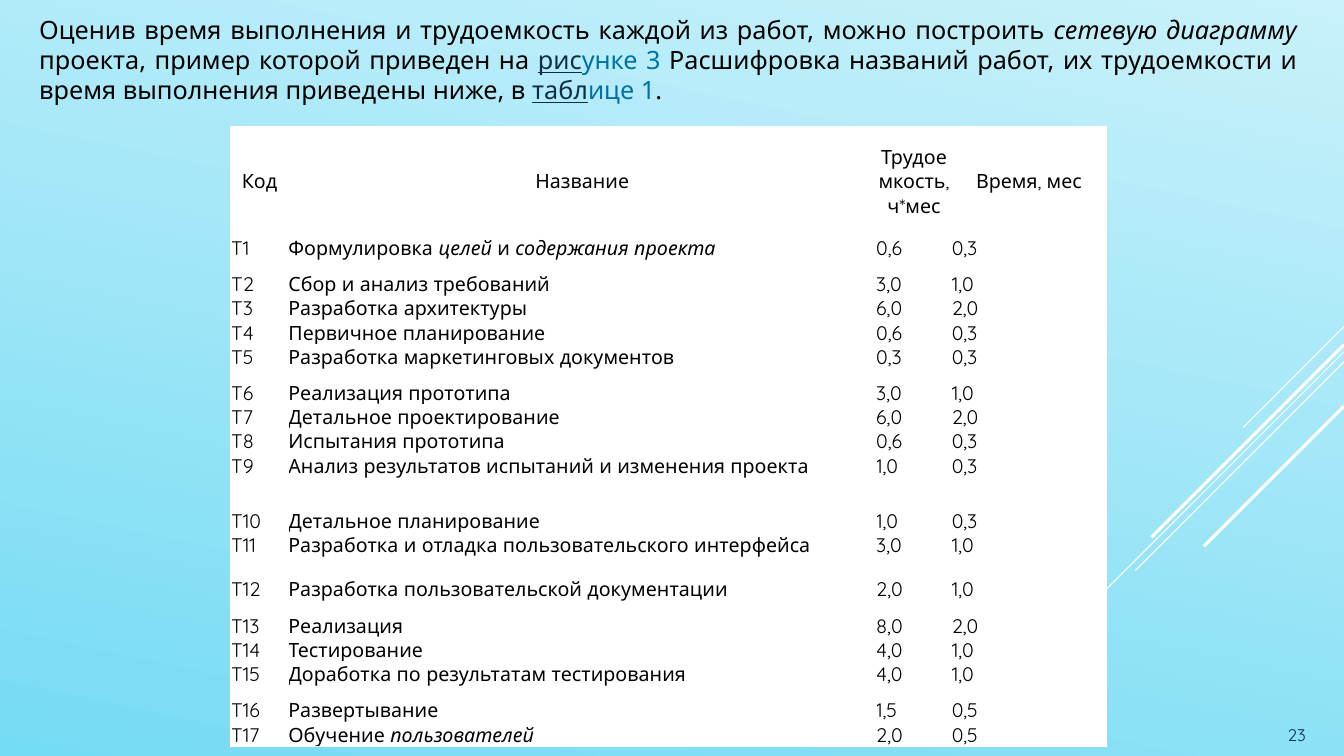
import pptx
import pptx.dml.color
import pptx.enum.shapes
import pptx.enum.text
import pptx.util
from lxml import etree
from pptx.util import Inches

RGBColor = pptx.dml.color.RGBColor
PP_ALIGN = pptx.enum.text.PP_ALIGN
MSO_ANCHOR = pptx.enum.text.MSO_ANCHOR

SKY_LIGHT = RGBColor(0xC8, 0xF1, 0xFB)
SKY_DEEP = RGBColor(0x76, 0xDB, 0xF4)
WHITE = RGBColor(0xFF, 0xFF, 0xFF)
BLACK = RGBColor(0x00, 0x00, 0x00)
NAVY = RGBColor(0x0A, 0x30, 0x4A)
LINK_DARK = RGBColor(0x0D, 0x2E, 0x46)
LINK_BLUE = RGBColor(0x00, 0x71, 0xA6)

TEXT_FONT = "Noto Sans"
TABLE_FONT = "Quicksand"
SLIDE_WIDTH = 13.33

DIAGONALS = [(3.24, 1.0, 0.75), (3.49, 3.26, 0.75), (3.59, 2.07, 0.75),
             (3.42, 1.91, 2.25), (4.03, 1.39, 2.25)]

INTRO = [
    ("Оценив время выполнения и трудоемкость каждой из работ, можно построить ", BLACK, ""),
    ("сетевую диаграмму", BLACK, "italic"),
    (" проекта, пример которой приведен на ", BLACK, ""),
    ("рис", LINK_DARK, "underline"),
    ("унке 3 ", LINK_BLUE, ""),
    ("Расшифровка названий работ, их трудоемкости и время выполнения приведены ниже, в ",
     BLACK, ""),
    ("табл", LINK_DARK, "underline"),
    ("ице 1", LINK_BLUE, ""),
    (".", BLACK, ""),
]

HEADER = ("Код", "Название", "Трудоемкость, ч*мес", "Время, мес")
WORKS = [
    ("Формулировка _целей_ и _содержания проекта_", "0,6", "0,3"),
    ("Сбор и анализ требований", "3,0", "1,0"),
    ("Разработка архитектуры", "6,0", "2,0"),
    ("Первичное планирование", "0,6", "0,3"),
    ("Разработка маркетинговых документов", "0,3", "0,3"),
    ("Реализация прототипа", "3,0", "1,0"),
    ("Детальное проектирование", "6,0", "2,0"),
    ("Испытания прототипа", "0,6", "0,3"),
    ("Анализ результатов испытаний и изменения проекта", "1,0", "0,3"),
    ("Детальное планирование", "1,0", "0,3"),
    ("Разработка и отладка пользовательского интерфейса", "3,0", "1,0"),
    ("Разработка пользовательской документации", "2,0", "1,0"),
    ("Реализация", "8,0", "2,0"),
    ("Тестирование", "4,0", "1,0"),
    ("Доработка по результатам тестирования", "4,0", "1,0"),
    ("Развертывание", "1,5", "0,5"),
    ("Обучение _пользователей_", "2,0", "0,5"),
]
COLUMN_WIDTHS = [0.57, 5.83, 0.75, 1.53]
LINE_HEIGHT = 0.24
TALL_ROWS = {0: 1.08, 1: 0.36, 5: 0.36, 9: 0.55, 11: 0.44, 12: 0.36, 15: 0.36}


def paint_background(slide):
    """Fill the slide with the sky gradient."""
    fill = slide.background.fill
    fill.gradient()
    fill.gradient_angle = 258
    for stop, color in zip(fill.gradient_stops, (SKY_LIGHT, SKY_DEEP)):
        stop.color.rgb = color
    fill.gradient_stops[0].position = 0
    fill.gradient_stops[1].position = 1


def add_diagonal(slide, top, run, width):
    """Draw a 45-degree white line down from the right edge."""
    line = slide.shapes.add_connector(
        pptx.enum.shapes.MSO_CONNECTOR.STRAIGHT, Inches(SLIDE_WIDTH), Inches(top),
        Inches(SLIDE_WIDTH - run), Inches(top + run))
    line.line.color.rgb = WHITE
    line.line.width = pptx.util.Pt(width)
    etree.SubElement(line._element.spPr, pptx.oxml.ns.qn("a:effectLst"))


def format_paragraph(paragraph, font_name, size, alignment, color=None):
    """Set the shared font and the alignment of a paragraph."""
    paragraph.alignment = alignment
    paragraph.font.name = font_name
    paragraph.font.size = pptx.util.Pt(size)
    if color is not None:
        paragraph.font.color.rgb = color


def add_text_box(slide, left, top, width, height, anchor):
    """Add a wrapping text box and return its first paragraph."""
    box = slide.shapes.add_textbox(Inches(left), Inches(top), Inches(width), Inches(height))
    box.text_frame.word_wrap = True
    box.text_frame.vertical_anchor = anchor
    return box.text_frame.paragraphs[0]


def add_intro(slide):
    """Add the justified introduction with its highlighted references."""
    paragraph = add_text_box(slide, 0.29, 0.09, 12.67, 1.01, MSO_ANCHOR.TOP)
    format_paragraph(paragraph, TEXT_FONT, 18, PP_ALIGN.JUSTIFY)
    for text, color, style in INTRO:
        run = paragraph.add_run()
        run.text = text
        run.font.color.rgb = color
        if style:
            setattr(run.font, style, True)


def add_slide_number(slide, number):
    """Add the slide number in the bottom right corner."""
    paragraph = add_text_box(slide, 12.16, 7.09, 0.89, 0.35, MSO_ANCHOR.BOTTOM)
    format_paragraph(paragraph, TABLE_FONT, 12, PP_ALIGN.RIGHT, NAVY)
    paragraph.add_run().text = number


def fill_cell(cell, text, is_header):
    """Write a cell, setting the words between underscores in italics."""
    cell.fill.solid()
    cell.fill.fore_color.rgb = WHITE
    cell.margin_left = cell.margin_right = cell.margin_top = cell.margin_bottom = 0
    cell.vertical_anchor = MSO_ANCHOR.MIDDLE if is_header else MSO_ANCHOR.TOP
    paragraph = cell.text_frame.paragraphs[0]
    alignment = PP_ALIGN.CENTER if is_header else PP_ALIGN.LEFT
    format_paragraph(paragraph, TABLE_FONT, 14, alignment, BLACK)
    for index, part in enumerate(text.split("_")):
        if part:
            run = paragraph.add_run()
            run.text = part
            if index % 2:
                run.font.italic = True


def add_works_table(slide):
    """Add the table of works with their effort and duration."""
    rows = [HEADER] + [(f"T{number}", *work) for number, work in enumerate(WORKS, 1)]
    heights = [TALL_ROWS.get(index, LINE_HEIGHT) for index in range(len(rows))]
    table = slide.shapes.add_table(
        len(rows), len(HEADER), Inches(2.29), Inches(1.26),
        Inches(sum(COLUMN_WIDTHS)), Inches(sum(heights))).table
    table.first_row = False
    table.horz_banding = False
    for column, width in zip(table.columns, COLUMN_WIDTHS):
        column.width = Inches(width)
    for index, (row, texts) in enumerate(zip(table.rows, rows)):
        row.height = Inches(heights[index])
        for cell, text in zip(row.cells, texts):
            fill_cell(cell, text, index == 0)


def main():
    """Build the slide and save it."""
    presentation = pptx.Presentation()
    presentation.slide_width = Inches(SLIDE_WIDTH)
    presentation.slide_height = Inches(7.5)
    slide = presentation.slides.add_slide(presentation.slide_layouts[6])
    paint_background(slide)
    for top, run, width in DIAGONALS:
        add_diagonal(slide, top, run, width)
    add_slide_number(slide, "23")
    add_intro(slide)
    add_works_table(slide)
    presentation.save("out.pptx")


if __name__ == "__main__":
    main()
